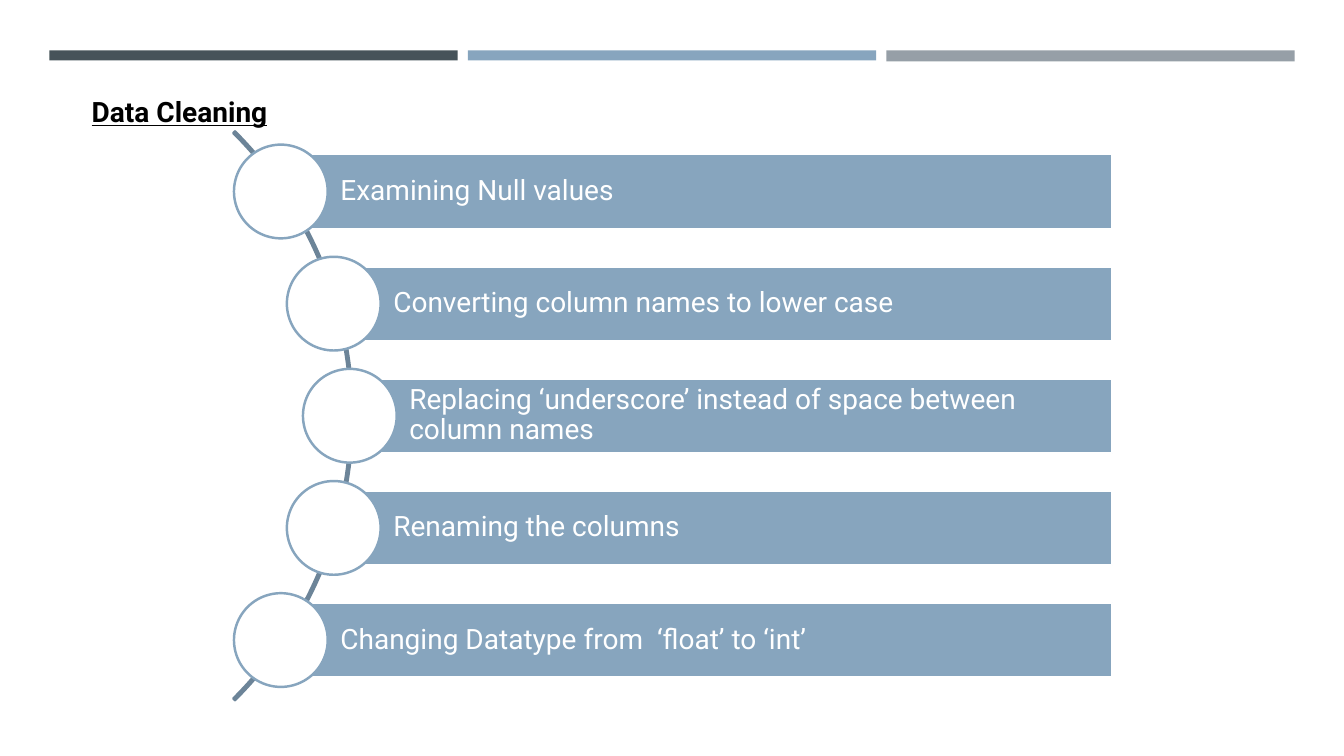
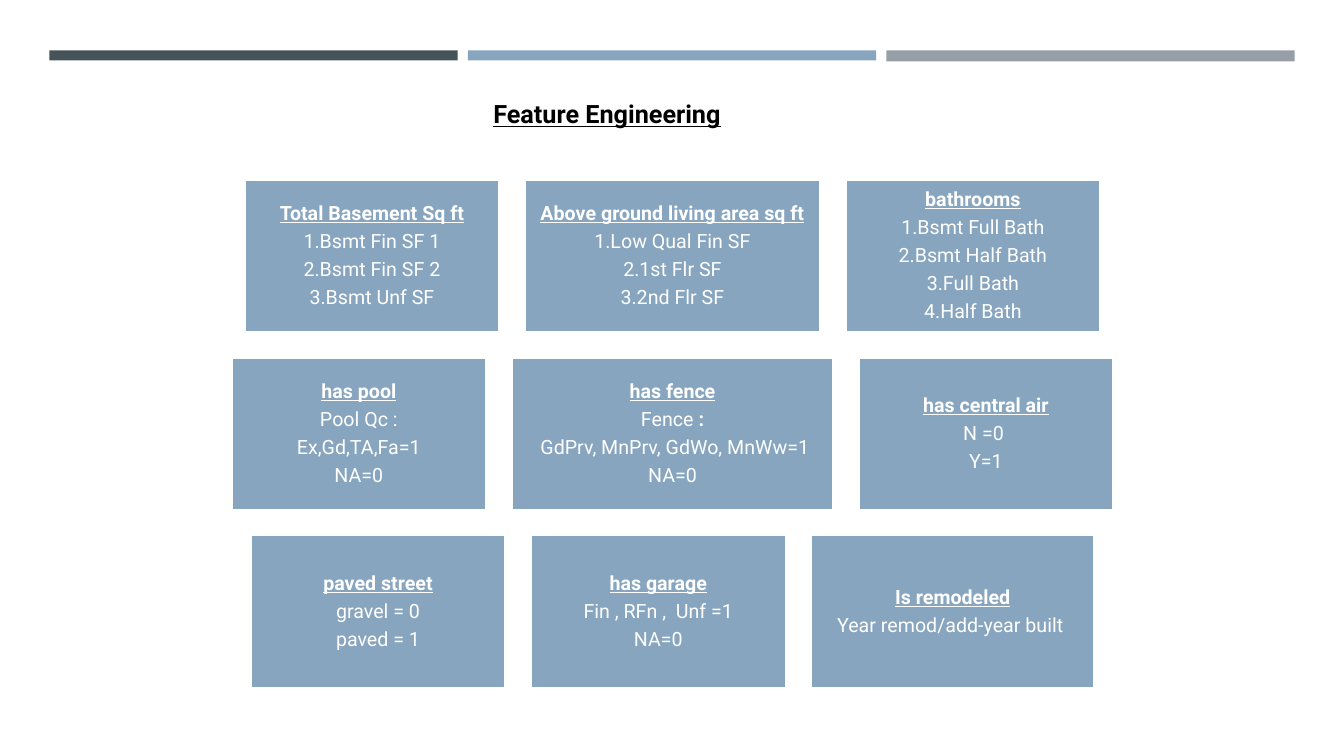
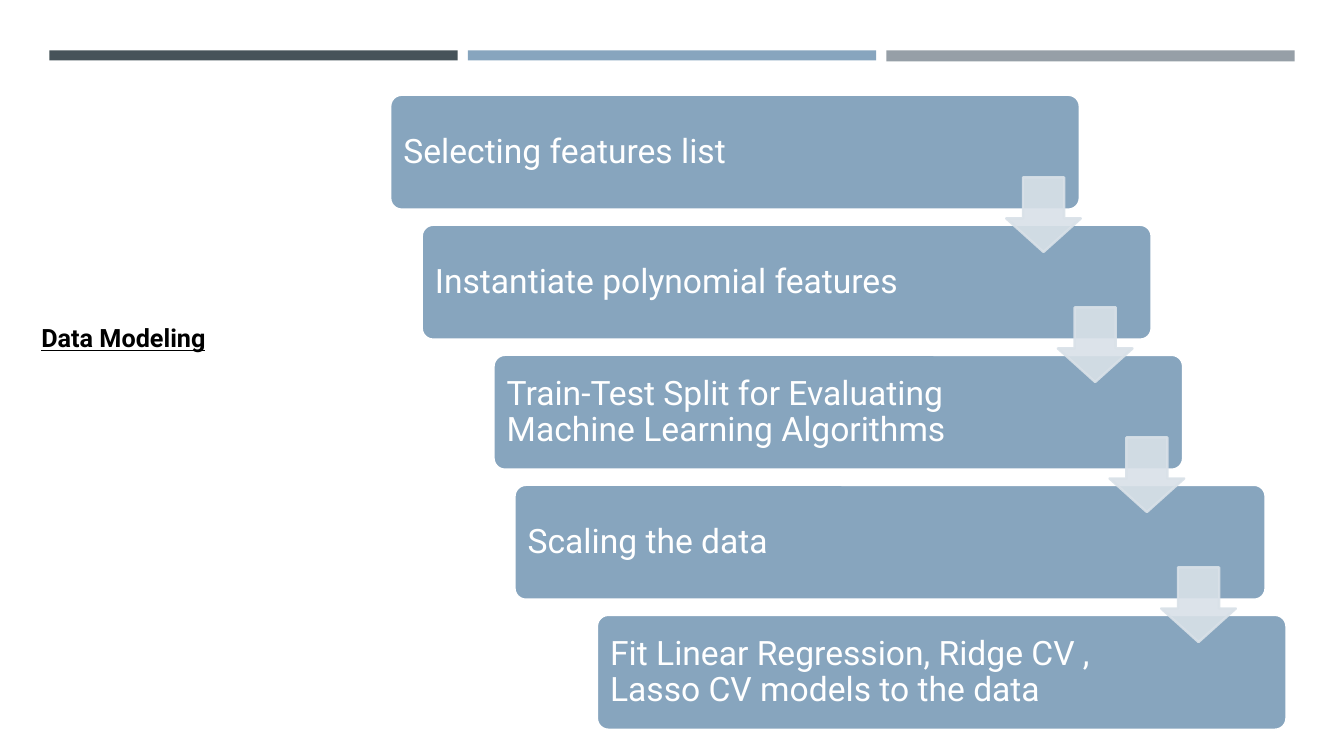
import collections
import math

import lxml.etree
import pptx
import pptx.dml.color
import pptx.enum.shapes
import pptx.enum.text
import pptx.oxml.ns
import pptx.util

PX = 9144
FONT = "Roboto"
BLUE, WHITE, BLACK = "87A5BE", "FFFFFF", "000000"
BANDS = [("465359", 10), (BLUE, 10), ("969FA7", 11)]
ARC_LINE, ARROW = "6C8498", "D9E1E8"
SHAPE = pptx.enum.shapes.MSO_SHAPE
ALIGN = pptx.enum.text.PP_ALIGN
ANCHOR = pptx.enum.text.MSO_ANCHOR
Box = collections.namedtuple("Box", "left top width height")

CLEANING_STEPS = [
    "Examining Null values",
    "Converting column names to lower case",
    "Replacing ‘underscore’ instead of space between column names",
    "Renaming the columns",
    "Changing Datatype from  ‘float’ to ‘int’",
]
FEATURE_ROWS = [
    [
        (253, "Total Basement Sq ft", ["1.Bsmt Fin SF 1", "2.Bsmt Fin SF 2", "3.Bsmt Unf SF"]),
        (293, "Above ground living area sq ft", ["1.Low Qual Fin SF", "2.1st Flr SF", "3.2nd Flr SF"]),
        (253, "bathrooms", ["1.Bsmt Full Bath", "2.Bsmt Half Bath", "3.Full Bath", "4.Half Bath"]),
    ],
    [
        (253, "has pool", ["Pool Qc :", "Ex,Gd,TA,Fa=1", "NA=0"]),
        (319, "has fence", [("Fence", " :"), " GdPrv, MnPrv, GdWo, MnWw=1", "NA=0"]),
        (253, "has central air", ["N =0 ", "Y=1"]),
    ],
    [
        (253, "paved street", ["gravel = 0", "paved = 1"]),
        (253, "has garage", ["Fin , RFn ,  Unf =1", "NA=0"]),
        (281, "Is remodeled", ["Year remod/add-year built "]),
    ],
]
MODELING_STEPS = [
    (684, "Selecting features list"),
    (724, "Instantiate polynomial features"),
    (684, "Train-Test Split for Evaluating Machine Learning Algorithms"),
    (745, "Scaling the data"),
    (684, "Fit Linear Regression, Ridge CV , Lasso CV models to the data"),
]


def px(length):
    return pptx.util.Emu(round(length * PX))


def rgb(color):
    return pptx.dml.color.RGBColor.from_string(color)


def write(para, text, size=20, color=WHITE, bold=False, underline=False,
          align=ALIGN.LEFT, leading=0.9, after=0.35):
    para.alignment = align
    para.line_spacing = leading
    para.space_before = pptx.util.Pt(0)
    para.space_after = pptx.util.Pt(size * after)
    span = para.add_run()
    span.text = text
    span.font.name = FONT
    span.font.size = pptx.util.Pt(size)
    span.font.color.rgb = rgb(color)
    span.font.bold = bold
    span.font.underline = underline


def set_frame(frame, margins, anchor=ANCHOR.MIDDLE):
    frame.word_wrap = True
    frame.auto_size = pptx.enum.text.MSO_AUTO_SIZE.NONE
    frame.vertical_anchor = anchor
    left, top, right, bottom = margins
    frame.margin_left, frame.margin_top = px(left), px(top)
    frame.margin_right, frame.margin_bottom = px(right), px(bottom)


def add_shape(page, kind, box, fill=None, line=None, opacity=None, adjust=()):
    shape = page.shapes.add_shape(kind, *map(px, box))
    shape.shadow.inherit = False
    for index, value in enumerate(adjust):
        shape.adjustments[index] = value
    if fill:
        shape.fill.solid()
        shape.fill.fore_color.rgb = rgb(fill)
    else:
        shape.fill.background()
    if line:
        shape.line.color.rgb = rgb(line)
        shape.line.width = pptx.util.Pt(1.75)
    else:
        shape.line.fill.background()
    if opacity:
        for color in shape.element.spPr.iter(pptx.oxml.ns.qn("a:srgbClr")):
            lxml.etree.SubElement(color, pptx.oxml.ns.qn("a:alpha"), val=str(opacity * 1000))
    return shape


def add_page(deck, title, box, size, align=ALIGN.LEFT):
    page = deck.slides.add_slide(deck.slide_layouts[5])
    for index, (color, height) in enumerate(BANDS):
        add_shape(page, SHAPE.RECTANGLE, Box(49 + 415 * index, 50, 405, height), color)
    heading = page.shapes.title
    heading.left, heading.top, heading.width, heading.height = map(px, box)
    set_frame(heading.text_frame, (10, 5, 10, 5), ANCHOR.TOP)
    write(heading.text_frame.paragraphs[0], title, size=size, color=BLACK, bold=True,
          underline=True, align=align, leading=1.0, after=0)
    return page


def add_curved_list(page, box, steps):
    bar_height, circle, radius, reach = 74, 93, 399, 396
    hub_x, hub_y = box.left - 281, box.top + box.height / 2
    pitch = (box.height - bar_height) / (len(steps) - 1)
    add_shape(page, SHAPE.BLOCK_ARC, Box(hub_x - radius, hub_y - radius, 2 * radius, 2 * radius),
              line=ARC_LINE, adjust=(189, 27, 0.003))
    for index, step in enumerate(steps):
        top = box.top + pitch * index
        center_y = top + bar_height / 2
        center_x = hub_x + math.sqrt(reach ** 2 - (center_y - hub_y) ** 2)
        bar_box = Box(center_x, top, box.left + box.width - center_x, bar_height)
        bar = add_shape(page, SHAPE.RECTANGLE, bar_box, BLUE, WHITE)
        set_frame(bar.text_frame, (59, 6, 6, 6))
        write(bar.text_frame.paragraphs[0], step)
        add_shape(page, SHAPE.OVAL, Box(center_x - circle / 2, center_y - circle / 2, circle, circle),
                  WHITE, BLUE)


def add_card(page, box, heading, lines):
    card = add_shape(page, SHAPE.RECTANGLE, box, BLUE, WHITE)
    frame = card.text_frame
    set_frame(frame, (6, 6, 6, 6))
    write(frame.paragraphs[0], heading, size=14, bold=True, underline=True, align=ALIGN.CENTER)
    for line in lines:
        para = frame.add_paragraph()
        spans = line if isinstance(line, tuple) else (line,)
        for index, text in enumerate(spans):
            write(para, text, size=14, bold=index > 0, align=ALIGN.CENTER)


def add_card_rows(page, box, rows):
    height, gap = 152, 25
    pitch = (box.height - height) / (len(rows) - 1)
    for index, row in enumerate(rows):
        row_width = sum(width for width, _, _ in row) + gap * (len(row) - 1)
        left = box.left + (box.width - row_width) / 2
        for width, heading, lines in row:
            add_card(page, Box(left, box.top + pitch * index, width, height), heading, lines)
            left += width + gap


def add_staircase(page, box, steps):
    base_width, height, arrow = 684, 114, 74
    last = len(steps) - 1
    step_x = (box.width - base_width) / last
    step_y = (box.height - height) / last
    for index, (width, text) in enumerate(steps):
        left = box.left + step_x * index - (width - base_width) / 2
        stair = add_shape(page, SHAPE.ROUNDED_RECTANGLE,
                          Box(left, box.top + step_y * index, width, height),
                          BLUE, WHITE, adjust=(0.1,))
        set_frame(stair.text_frame, (10, 10, 135, 10))
        write(stair.text_frame.paragraphs[0], text, size=24)
    for index in range(last):
        left = box.left + base_width - arrow + 1 + step_x * index
        top = box.top + height - 32 + step_y * index
        add_shape(page, SHAPE.DOWN_ARROW, Box(left, top, arrow, arrow), ARROW, ARROW,
                  opacity=90, adjust=(0.55, 0.45))


def main():
    deck = pptx.Presentation()
    deck.slide_width, deck.slide_height = px(1333), px(750)

    cleaning = add_page(deck, "Data Cleaning", Box(81, 89, 411, 44), 20)
    add_curved_list(cleaning, Box(232, 153, 871, 519), CLEANING_STEPS)

    features = add_page(deck, "Feature Engineering", Box(264, 93, 676, 40), 18, ALIGN.CENTER)
    add_card_rows(features, Box(229, 178, 876, 505), FEATURE_ROWS)

    modeling = add_page(deck, "Data Modeling", Box(31, 315, 643, 40), 18)
    add_staircase(modeling, Box(387, 94, 889, 630), MODELING_STEPS)

    deck.save("out.pptx")


if __name__ == "__main__":
    main()
